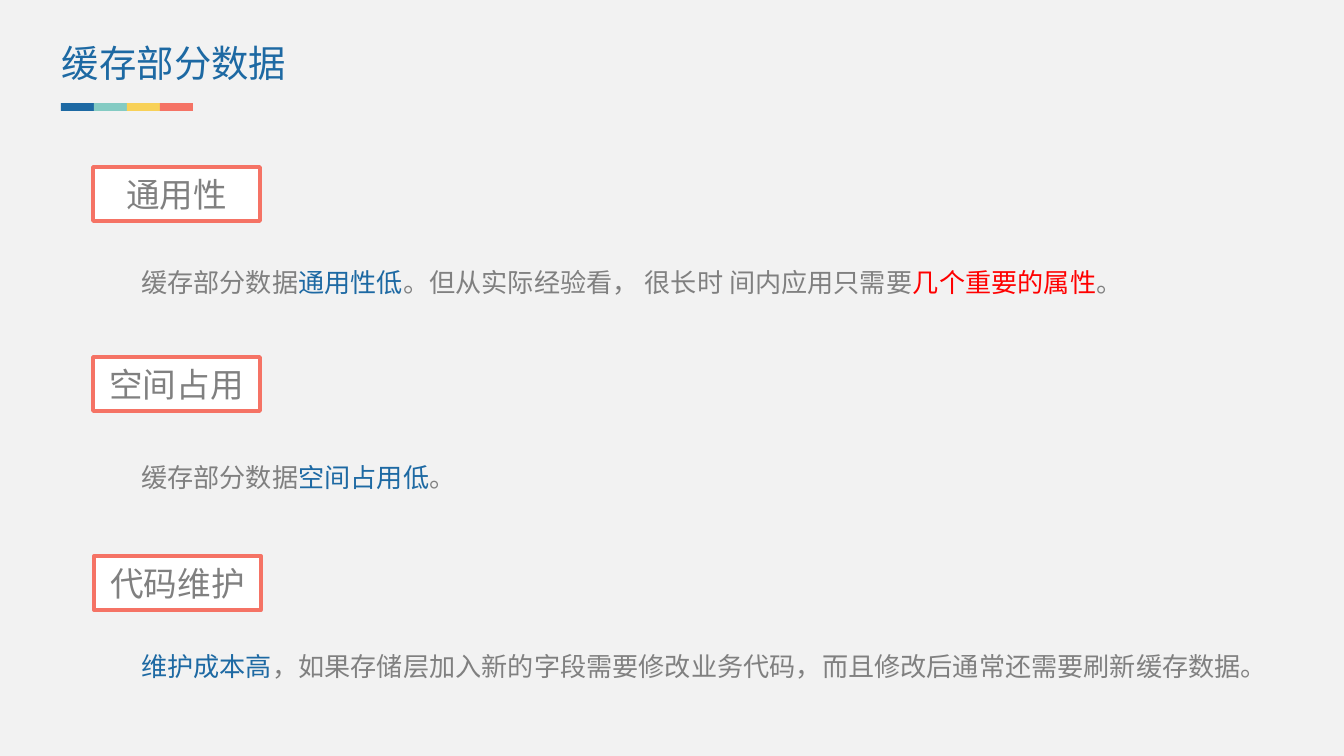
"""Build the slide on caching part of the data."""
from lxml.etree import SubElement
from pptx import Presentation
from pptx.dml.color import RGBColor
from pptx.enum.shapes import MSO_SHAPE as Shape
from pptx.enum.text import MSO_ANCHOR as Anchor, PP_ALIGN as Align
from pptx.oxml.ns import qn
from pptx.util import Emu, Pt

SCALE = 914400 / 134.4
FONT = "Noto Sans CJK SC"
BLUE, TEAL, YELLOW, CORAL = "1D69A3", "84CBC3", "F8D158", "F57365"
GRAY, RED, WHITE, PALE = "808080", "FF0000", "FFFFFF", "F2F2F2"

TITLE = "缓存部分数据"
STRIPES = [BLUE, TEAL, YELLOW, CORAL]
SECTIONS = [
    {"heading": "通用性", "heading_at": (93, 167), "body_top": 250, "body_width": 1024,
     "body": [("缓存部分数据", GRAY), ("通用性低", BLUE),
              ("。但从实际经验看， 很长时 间内应用只需要", GRAY),
              ("几个重要的属性", RED), ("。", GRAY)]},
    {"heading": "空间占用", "heading_at": (93, 357), "body_top": 445, "body_width": 1149,
     "body": [("缓存部分数据", GRAY), ("空间占用低", BLUE), ("。", GRAY)]},
    {"heading": "代码维护", "heading_at": (94, 556), "body_top": 634, "body_width": 1188,
     "body": [("维护成本高", BLUE),
              ("，如果存储层加入新的字段需要修改业务代码，而且修改后通常还需要刷新缓存数据。", GRAY)]},
]


def px(*lengths):
    return [Emu(round(length * SCALE)) for length in lengths]


def color(value):
    return RGBColor.from_string(value)


def write(frame, parts, size):
    frame.word_wrap = True
    paragraph = frame.paragraphs[0]
    paragraph.font.size = Pt(size)
    paragraph.font.name = FONT
    SubElement(paragraph.font._element, qn("a:ea"), typeface=FONT)
    for words, tint in parts:
        run = paragraph.add_run()
        run.text = words
        run.font.color.rgb = color(tint)
    return paragraph


def add_rect(shapes, box, fill, border=None):
    rect = shapes.add_shape(Shape.RECTANGLE, *px(*box))
    rect.shadow.inherit = False
    rect.fill.solid()
    rect.fill.fore_color.rgb = color(fill)
    if border:
        rect.line.color.rgb = color(border)
        rect.line.width = Pt(2)
    else:
        rect.line.fill.background()
    return rect


def add_title(slide):
    frame = slide.shapes.add_textbox(*px(62, 40, 409, 46)).text_frame
    frame.margin_left = frame.margin_top = frame.margin_right = frame.margin_bottom = 0
    write(frame, [(TITLE, BLUE)], 20)
    stripes = slide.shapes.add_group_shape()
    for index, fill in enumerate(STRIPES):
        add_rect(stripes.shapes, (61 + 33 * index, 103, 33, 8), fill)


def add_section(slide, section):
    heading = add_rect(slide.shapes, (*section["heading_at"], 167, 54), WHITE, CORAL)
    heading.text_frame.vertical_anchor = Anchor.TOP
    write(heading.text_frame, [(section["heading"], GRAY)], 18).alignment = Align.CENTER
    box = (128, section["body_top"], section["body_width"], 51)
    body = slide.shapes.add_textbox(*px(*box))
    write(body.text_frame, section["body"], 14).line_spacing = Pt(22)


def main():
    deck = Presentation()
    deck.slide_width, deck.slide_height = px(1344, 756)
    slide = deck.slides.add_slide(deck.slide_layouts[6])
    slide.background.fill.solid()
    slide.background.fill.fore_color.rgb = color(PALE)
    add_title(slide)
    for section in SECTIONS:
        add_section(slide, section)
    deck.save("out.pptx")


if __name__ == "__main__":
    main()
